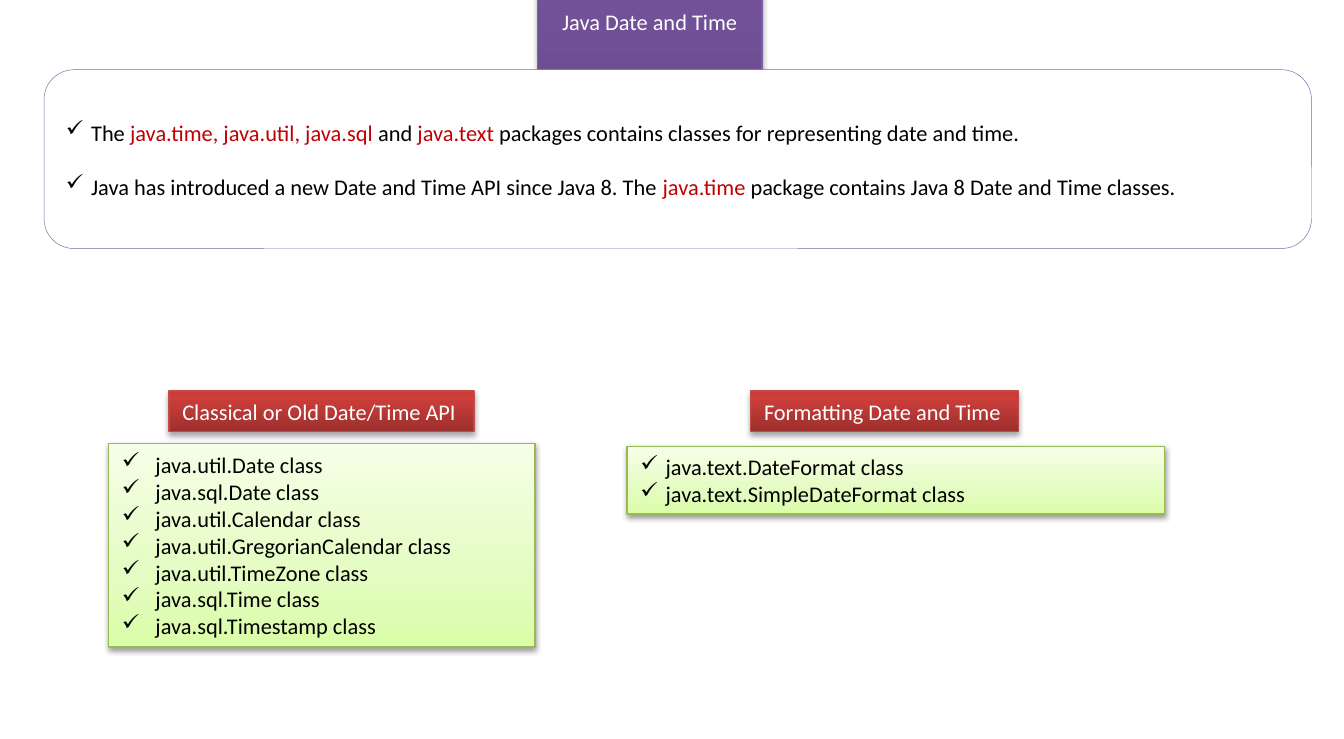
"""Build the Java Date and Time slide."""
from lxml.etree import SubElement
from pptx import Presentation
from pptx.dml.color import RGBColor
from pptx.enum.shapes import MSO_SHAPE as Kind
from pptx.enum.text import MSO_ANCHOR as Anchor, MSO_AUTO_SIZE as Auto, PP_ALIGN as Align
from pptx.oxml.ns import qn
from pptx.util import Pt

tint = RGBColor.from_string
PURPLE = [(0, "5F4480"), (80, "7B58A6"), (100, "7C57A8")]
RED = [(0, "9C2F2D"), (80, "CB3E3A"), (100, "CE3B37")]
GREEN = [(0, "DAFDA7"), (35, "E4FCC2"), (100, "F5FFE7")]


def paint(box, stops, edge, alpha, dist):
    """Give a box its gradient, outline and soft shadow."""
    box.fill.gradient()
    box.fill.gradient_angle = 90
    props = box.element.spPr
    ramp = props.find(".//" + qn("a:gsLst"))
    for old in list(ramp):
        ramp.remove(old)
    for pos, hue in stops:
        stop = SubElement(ramp, qn("a:gs"), pos=str(pos * 1000))
        SubElement(stop, qn("a:srgbClr"), val=hue)
    box.line.color.rgb = tint(edge)
    box.line.width = Pt(0.75)
    box.shadow.inherit = False
    shade = SubElement(props.find(qn("a:effectLst")), qn("a:outerShdw"),
                       blurRad=str(Pt(3.1)), dist=str(Pt(dist)),
                       dir="5400000", rotWithShape="0")
    black = SubElement(shade, qn("a:srgbClr"), val="000000")
    SubElement(black, qn("a:alpha"), val=str(alpha * 1000))


def write(box, lines, hue, dent=0, align=Align.LEFT, gap=0):
    """Fill a box with lines, where bars enclose the red words."""
    frame = box.text_frame
    frame.word_wrap = True
    frame.vertical_anchor = Anchor.MIDDLE
    for i, line in enumerate(lines):
        para = frame.paragraphs[0] if i == 0 else frame.add_paragraph()
        para.alignment = align
        if dent:
            props = para._p.get_or_add_pPr()
            props.set("marL", str(Pt(dent)))
            props.set("indent", str(-Pt(dent)))
            SubElement(props, qn("a:buChar"), char="✓")
        if gap and i:
            para.space_before = Pt(gap)
        for j, part in enumerate(line.split("|")):
            run = para.add_run()
            run.text = part
            run.font.name = "Calibri"
            run.font.size = Pt(12)
            run.font.color.rgb = tint("C00000" if j % 2 else hue)


deck = Presentation()
deck.slide_width, deck.slide_height = Pt(720), Pt(396)
slide = deck.slides.add_slide(deck.slide_layouts[5])
shapes = slide.shapes

title = shapes.title
title.left, title.top, title.width, title.height = Pt(288), Pt(0.7), Pt(120.2), Pt(21.8)
paint(title, PURPLE, "7D60A0", 35, 1.8)
write(title, ["Java Date and Time"], "FFFFFF", align=Align.CENTER)
title.text_frame.auto_size = Auto.SHAPE_TO_FIT_TEXT

intro = shapes.add_shape(Kind.ROUNDED_RECTANGLE, Pt(23.6), Pt(37.4), Pt(679), Pt(95.8))
intro.shadow.inherit = False
intro.fill.solid()
intro.fill.fore_color.rgb = tint("FFFFFF")
intro.line.color.rgb = tint("8064A2")
intro.line.width = Pt(0.25)
write(intro, [
    "The |java.time, java.util, java.sql| and |java.text| packages contains "
    "classes for representing date and time.",
    "Java has introduced a new Date and Time API since Java 8. The |java.time| "
    "package contains Java 8 Date and Time classes.",
], "000000", dent=13.5, gap=14.5)

groups = [
    ("Classical or Old Date/Time API", 90.6, 163.4, (58.2, 237.6, 228.4, 109.1), 18,
     ["util.Date", "sql.Date", "util.Calendar", "util.GregorianCalendar",
      "util.TimeZone", "sql.Time", "sql.Timestamp"]),
    ("Formatting Date and Time", 402.2, 143.3, (336, 239.2, 288, 36.4), 13.5,
     ["text.DateFormat", "text.SimpleDateFormat"]),
]
for head, left, width, area, dent, names in groups:
    card = shapes.add_shape(Kind.RECTANGLE, *map(Pt, area))
    paint(card, GREEN, "98B955", 38, 1.6)
    write(card, [f"java.{name} class" for name in names], "000000", dent)
    card.text_frame.auto_size = Auto.SHAPE_TO_FIT_TEXT

    label = shapes.add_shape(Kind.RECTANGLE, Pt(left), Pt(209.5), Pt(width), Pt(21.8))
    paint(label, RED, "BF4C48", 35, 1.8)
    write(label, [head], "FFFFFF")
    label.text_frame.word_wrap = False
    label.text_frame.auto_size = Auto.SHAPE_TO_FIT_TEXT

deck.save("out.pptx")
